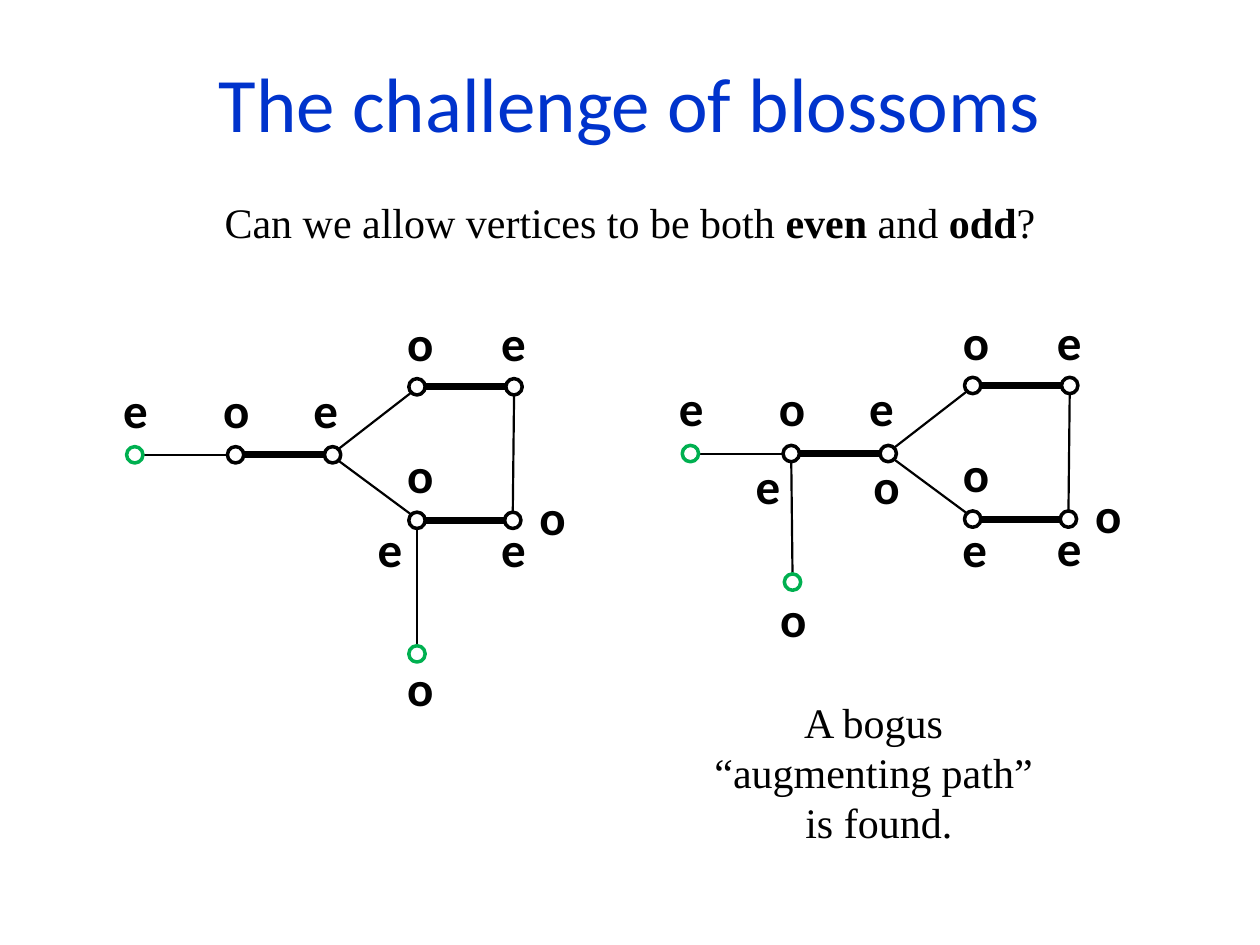
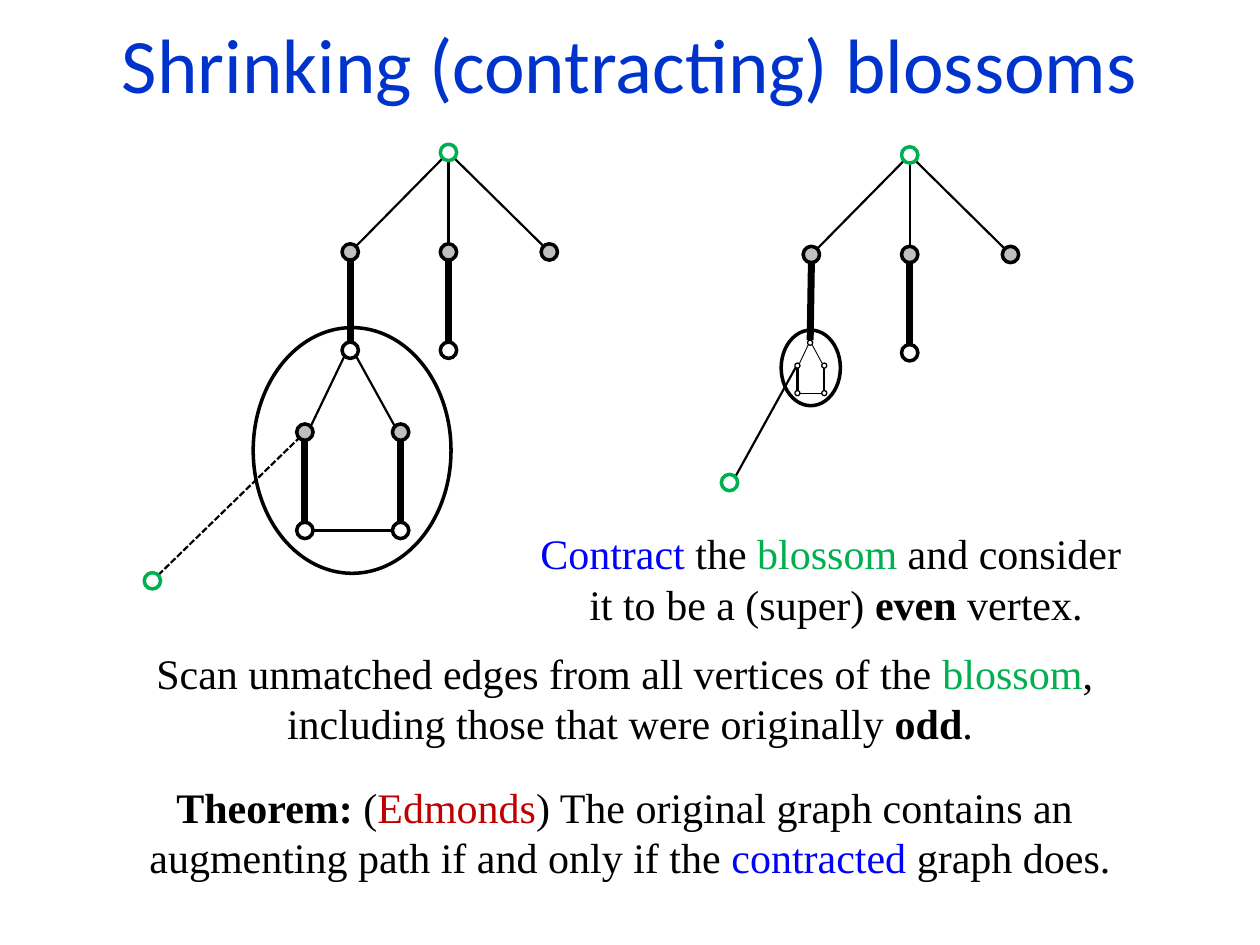
from math import atan2, cos, pi, sin

from lxml import etree
from pptx import Presentation
from pptx.dml.color import RGBColor
from pptx.enum.dml import MSO_LINE
from pptx.enum.shapes import MSO_CONNECTOR, MSO_SHAPE
from pptx.enum.text import MSO_ANCHOR, PP_ALIGN
from pptx.oxml.ns import qn
from pptx.util import Inches, Pt

STRAIGHT = MSO_CONNECTOR.STRAIGHT
OVAL = MSO_SHAPE.OVAL
DASH = MSO_LINE.SQUARE_DOT
MIDDLE, TOP = MSO_ANCHOR.MIDDLE, MSO_ANCHOR.TOP
CENTER = PP_ALIGN.CENTER

BLACK, WHITE, GRAY = "000000", "FFFFFF", "BFBFBF"
GREEN, BLUE, RED, TITLE_BLUE = "00B050", "0000FF", "C00000", "0033CC"
HEADING_FONT, BODY_FONT = "Calibri", "Times New Roman"
NODE_RADIUS, SMALL_RADIUS = 0.065, 0.02
THIN, MATCHED, HAIRLINE = 1.25, 4, 0.5
SHRINK = 0.28

EVEN = (WHITE, BLACK)
ODD = (GRAY, BLACK)
EXPOSED = (WHITE, GREEN)


def color(hex_string):
    return RGBColor.from_string(hex_string)


def add_text(page, box, spans, size=24, font=BODY_FONT, anchor=TOP, inset=None):
    text_box = page.shapes.add_textbox(*map(Inches, box))
    frame = text_box.text_frame
    frame.word_wrap = True
    frame.vertical_anchor = anchor
    if inset is not None:
        frame.margin_left = frame.margin_right = Inches(inset)
        frame.margin_top = frame.margin_bottom = Inches(inset)
    para = frame.paragraphs[0]
    para.alignment = CENTER
    for text, text_color, bold in spans:
        for number, line in enumerate(text.split("\n")):
            if number:
                para.add_line_break()
            span = para.add_run()
            span.text = line
            span.font.name = font
            span.font.size = Pt(size)
            span.font.bold = bold
            span.font.color.rgb = color(text_color)


def plain(text, text_color=BLACK):
    return text, text_color, False


def strong(text, text_color=BLACK):
    return text, text_color, True


def add_title(page, text, top):
    add_text(page, (0, top, 10, 0.74), [plain(text, TITLE_BLUE)],
             size=44, font=HEADING_FONT, anchor=MIDDLE, inset=0)


def add_oval(group, box, fill, line, width):
    oval = group.shapes.add_shape(OVAL, *map(Inches, box))
    oval.shadow.inherit = False
    if fill:
        oval.fill.solid()
        oval.fill.fore_color.rgb = color(fill)
    else:
        oval.fill.background()
    oval.line.color.rgb = color(line)
    oval.line.width = Pt(width)


def rim_point(node, target, radius):
    x, y = node
    step = pi / 4
    angle = round(atan2(target[1] - y, target[0] - x) / step) * step
    return x + radius * cos(angle), y + radius * sin(angle)


def add_edge(group, start, end, width, dashed=False):
    edge = group.shapes.add_connector(STRAIGHT, *map(Inches, (*start, *end)))
    edge.line.color.rgb = color(BLACK)
    edge.line.width = Pt(width)
    if dashed:
        edge.line.dash_style = DASH
    etree.SubElement(edge._element.spPr, qn("a:effectLst"))


def add_graph(group, origin, nodes, edges, small=()):
    centers = {name: (origin[0] + x, origin[1] + y)
               for name, (x, y, style) in nodes.items()}
    radii = {name: SMALL_RADIUS if name in small else NODE_RADIUS for name in nodes}
    for start, end, width, *dashed in edges:
        add_edge(group,
                 rim_point(centers[start], centers[end], radii[start]),
                 rim_point(centers[end], centers[start], radii[end]),
                 width, *dashed)
    for name, (x, y) in centers.items():
        radius = radii[name]
        add_oval(group, (x - radius, y - radius, 2 * radius, 2 * radius),
                 *nodes[name][2], 0.75 if name in small else 2)


def add_flower(page, origin, exposed, attached_to, extra_labels):
    nodes = {
        "root": (0, 0, EXPOSED),
        "stem": (0.8, 0, EVEN),
        "base": (1.57, 0, EVEN),
        "top left": (2.24, -0.54, EVEN),
        "top right": (3.01, -0.54, EVEN),
        "bottom left": (2.24, 0.52, EVEN),
        "bottom right": (3, 0.52, EVEN),
        "exposed": (*exposed, EXPOSED),
    }
    edges = [
        ("stem", "root", THIN),
        ("stem", "base", MATCHED),
        ("top left", "base", THIN),
        ("bottom left", "base", THIN),
        ("top left", "top right", MATCHED),
        ("bottom left", "bottom right", MATCHED),
        ("top right", "bottom right", THIN),
        (attached_to, "exposed", THIN),
    ]
    add_graph(page.shapes.add_group_shape(), origin, nodes, edges)
    labels = [
        ("e", -0.22, -0.65), ("o", 0.58, -0.65), ("e", 1.29, -0.65),
        ("o", 2.04, -1.18), ("e", 2.78, -1.18), ("o", 2.04, -0.13),
        ("o", 3.09, 0.2), ("e", 2.78, 0.46),
    ]
    for letter, x, y in labels + extra_labels:
        add_text(page, (origin[0] + x, origin[1] + y, 0.45, 0.57),
                 [strong(letter)], size=28, font=HEADING_FONT)


def add_tree(page, origin, base, exposed, outline, contracted=False):
    scale = SHRINK if contracted else 1
    odd_style = EVEN if contracted else ODD
    thin = HAIRLINE if contracted else THIN
    matched = THIN if contracted else MATCHED
    nodes = {
        "root": (0, 0, EXPOSED),
        "left": (-0.78, 0.79, ODD),
        "middle": (0, 0.79, ODD),
        "right": (0.8, 0.79, ODD),
        "leaf": (0, 1.57, EVEN),
        "exposed": (*exposed, EXPOSED),
    }
    blossom = {
        "base": (0, 0, EVEN),
        "odd left": (-0.36, 0.65, odd_style),
        "odd right": (0.4, 0.65, odd_style),
        "even left": (-0.36, 1.43, EVEN),
        "even right": (0.4, 1.43, EVEN),
    }
    for name, (x, y, style) in blossom.items():
        nodes[name] = (base[0] + scale * x, base[1] + scale * y, style)
    edges = [("root", child, THIN) for child in ("left", "middle", "right")]
    edges += [
        ("left", "base", MATCHED),
        ("middle", "leaf", MATCHED),
        ("odd left", "base", thin),
        ("odd right", "base", thin),
        ("odd left", "even left", matched),
        ("odd right", "even right", matched),
        ("even left", "even right", thin),
        ("exposed", "odd left", THIN, not contracted),
    ]
    group = page.shapes.add_group_shape()
    add_graph(group, origin, nodes, edges, small=blossom if contracted else ())
    x, y, width, height = outline
    add_oval(group, (origin[0] + x, origin[1] + y, width, height), None, BLACK, 2)


def build_challenge(page):
    add_title(page, "The challenge of blossoms", 0.44)
    add_flower(page, (1.07, 3.61), (2.24, 1.58), "bottom left",
               [("o", 2.04, 1.56), ("e", 1.8, 0.46)])
    add_flower(page, (5.48, 3.6), (0.81, 1.02), "stem",
               [("o", 0.59, 1.02), ("e", 2.03, 0.47),
                ("o", 1.33, -0.03), ("e", 0.39, -0.03)])
    add_text(page, (5, 5.47, 3.95, 1.31),
             [plain("A bogus \n“augmenting path” \nis found.")], anchor=MIDDLE)
    add_text(page, (0, 1.51, 10, 0.5),
             [plain("Can we allow vertices to be both "), strong("even"),
              plain(" and "), strong("odd"), plain("?")], anchor=MIDDLE)


def build_shrinking(page):
    add_title(page, "Shrinking (contracting) blossoms", 0.13)
    add_text(page, (3.86, 4.14, 5.55, 0.91),
             [plain("Contract", BLUE), plain(" the "), plain("blossom", GREEN),
              plain(" and consider \nit to be a (super) "), strong("even"),
              plain(" vertex.")])
    add_text(page, (0, 5.09, 10, 0.91),
             [plain("Scan unmatched edges from all vertices of the "),
              plain("blossom", GREEN),
              plain(", \nincluding those that were originally "),
              strong("odd"), plain(".")])
    add_tree(page, (3.56, 1.21), (-0.78, 1.57), (-2.35, 3.4),
             (-1.55, 1.39, 1.57, 1.95))
    add_tree(page, (7.22, 1.23), (-0.79, 1.49), (-1.43, 2.6),
             (-1.02, 1.39, 0.47, 0.6), contracted=True)
    add_text(page, (0, 6.15, 10, 0.91),
             [strong("Theorem:"), plain(" ("), plain("Edmonds", RED),
              plain(") The original graph contains an \n"
                    "augmenting path if and only if the "),
              plain("contracted", BLUE), plain(" graph does.")])


def main():
    deck = Presentation()
    deck.slide_width, deck.slide_height = Inches(10), Inches(7.5)
    blank = deck.slide_layouts[6]
    for build in (build_challenge, build_shrinking):
        build(deck.slides.add_slide(blank))
    deck.save("out.pptx")


if __name__ == "__main__":
    main()
